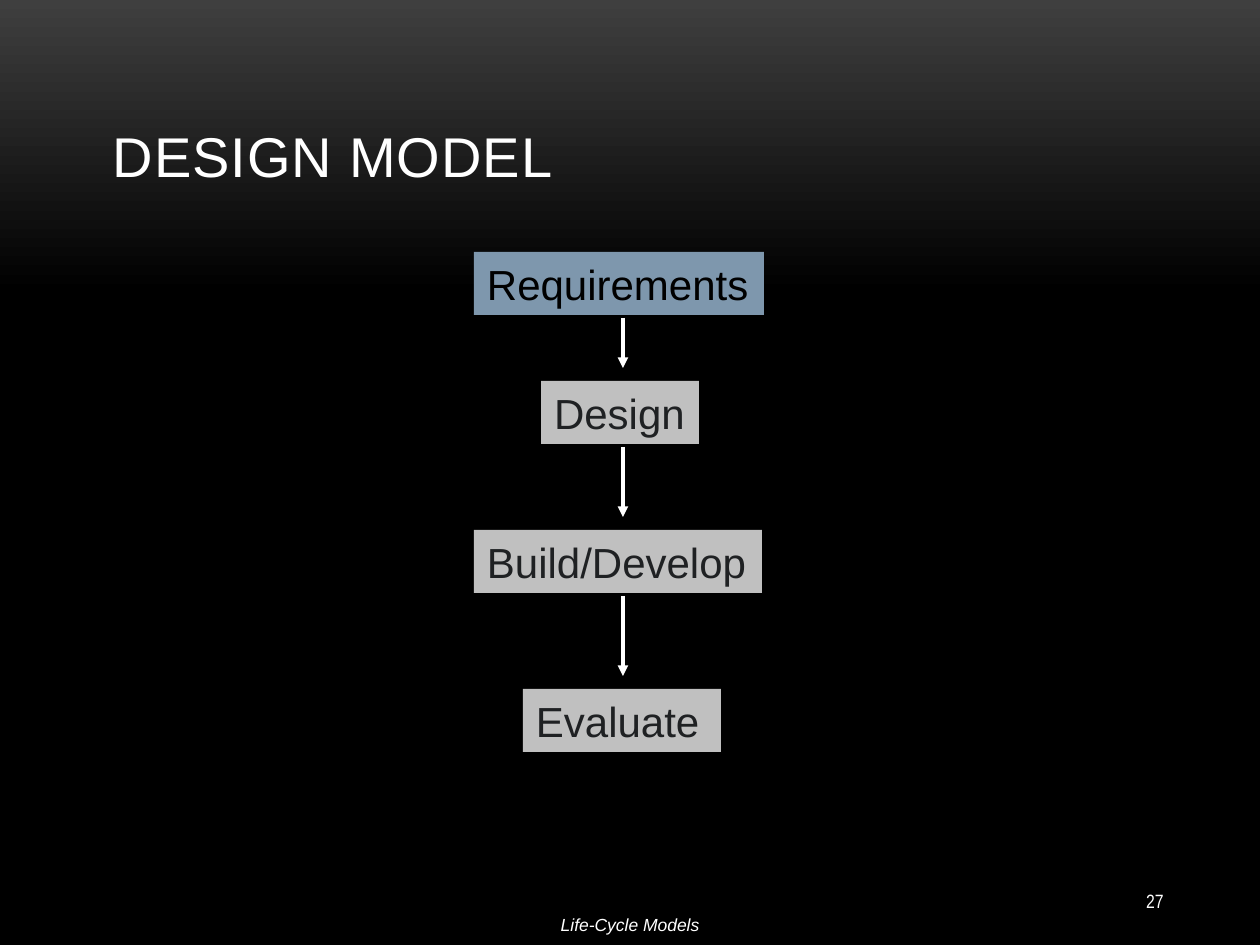
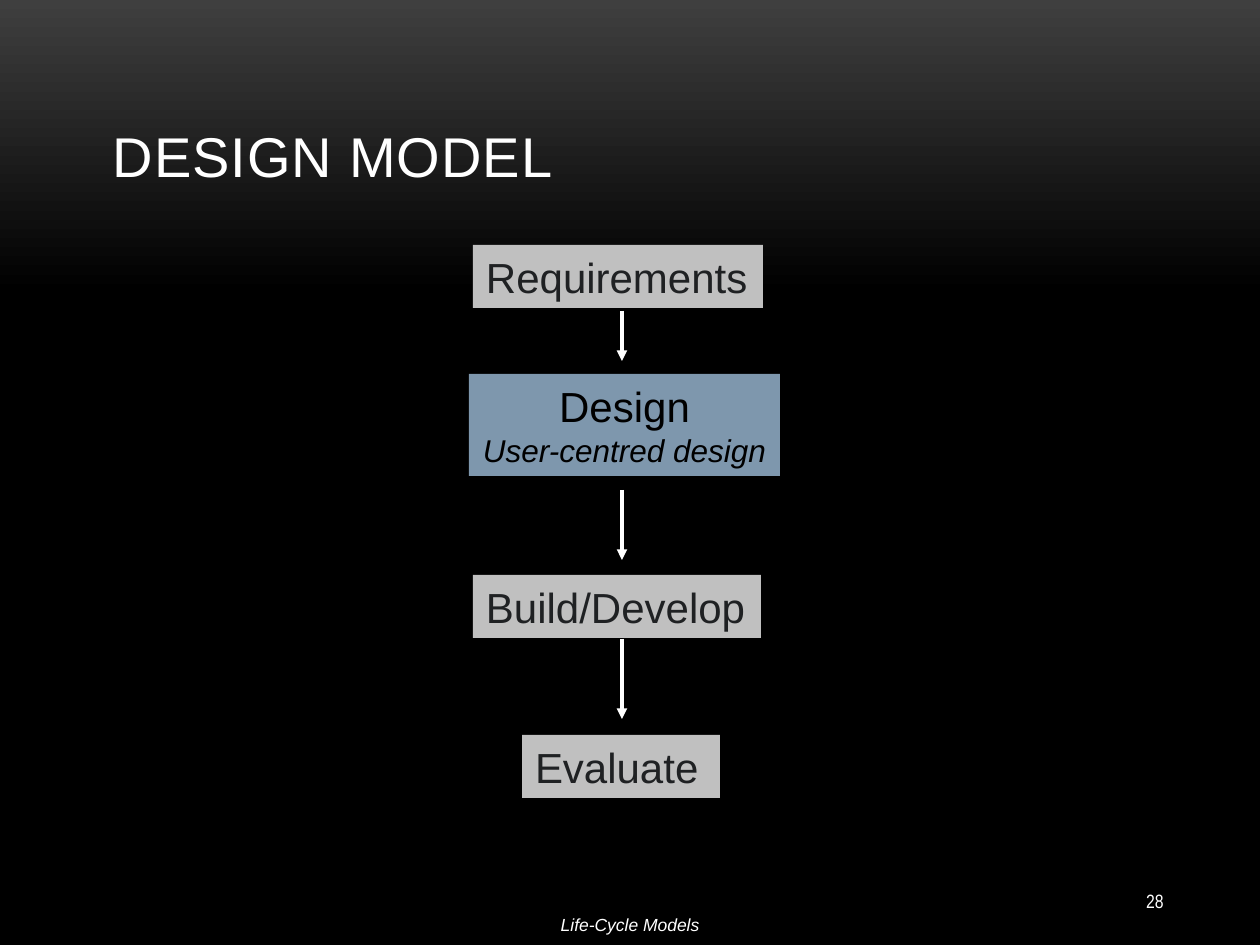
from lxml.etree import SubElement as sub
from pptx import Presentation
from pptx.dml.color import RGBColor as Rgb
from pptx.enum.shapes import MSO_CONNECTOR as Line, MSO_SHAPE as Shape
from pptx.enum.text import MSO_ANCHOR as Anchor, MSO_AUTO_SIZE as Auto, PP_ALIGN as Align
from pptx.oxml.ns import qn
from pptx.util import Emu, Pt

SCALE = 914400 / 126
COLORS = {
    "top": "3F3F3F", "base": "000000", "light": "FFFFFF",
    "focus": "7E97AD", "plain": "C0C0C0", "ink": "000000", "dim": "1F2123",
}
STEPS = [("Requirements", 474, 290), ("Design", 541, 158),
         ("Build/Develop", 474, 288), ("Evaluate", 523, 198)]
GAPS = [50, 70, 80]
STEP_H = 63


def px(*sizes):
    return [Emu(round(size * SCALE)) for size in sizes]


def color(name):
    return Rgb.from_string(COLORS[name])


def style(para, size, tint, face="Arial", italic=False, align=Align.LEFT):
    para.alignment = align
    for run in para.runs:
        font = run.font
        font.name, font.size, font.italic = face, Pt(size), italic
        font.color.rgb = color(tint)


def paint_back(master):
    fill = master.background.fill
    fill.gradient()
    fill.gradient_angle = 270
    for stop, place, tint in zip(fill.gradient_stops, (0, 0.31), ("top", "base")):
        stop.position = place
        stop.color.rgb = color(tint)


def add_title(slide, text):
    title = slide.shapes.title
    title.left, title.top, title.width, title.height = px(84, 38, 1092, 157)
    frame = title.text_frame
    frame.text = text
    frame.auto_size = Auto.NONE
    frame.vertical_anchor = Anchor.BOTTOM
    para = frame.paragraphs[0]
    style(para, 32, "light")
    para.runs[0].font._element.set("spc", "50")


def add_note(slide, text, area, anchor, size, **looks):
    frame = slide.shapes.add_textbox(*px(*area)).text_frame
    frame.word_wrap = True
    frame.vertical_anchor = anchor
    frame.text = text
    style(frame.paragraphs[0], size, "light", **looks)


def add_step(slide, text, area, focus, detail=None):
    box = slide.shapes.add_shape(Shape.RECTANGLE, *px(*area))
    box.shadow.inherit = False
    box.fill.solid()
    box.fill.fore_color.rgb = color("focus" if focus else "plain")
    box.line.fill.background()
    tint = "ink" if focus else "dim"
    align = Align.CENTER if detail else Align.LEFT
    frame = box.text_frame
    frame.word_wrap = True
    frame.vertical_anchor = Anchor.TOP
    frame.margin_left, frame.margin_right = px(0 if detail else 13, 0)
    frame.text = text
    style(frame.paragraphs[0], 24, tint, align=align)
    if detail:
        para = frame.add_paragraph()
        para.text = detail
        style(para, 18, tint, italic=True, align=align)


def add_arrow(slide, x, top, length):
    arrow = slide.shapes.add_connector(Line.STRAIGHT, *px(x, top, x, top + length))
    arrow.line.color.rgb = color("light")
    arrow.line.width = Pt(2)
    sub(arrow.line._get_or_add_ln(), qn("a:tailEnd"), type="triangle")
    sub(arrow._element.spPr, qn("a:effectLst"))


def add_model(deck, number, focus, tops, starts, shift=0, detail=None):
    slide = deck.slides.add_slide(deck.slide_layouts[5])
    add_title(slide, " DESIGN MODEL")
    add_note(slide, str(number), (1040, 876, 136, 50), Anchor.MIDDLE, 11,
             face="Arial Narrow", align=Align.RIGHT)
    add_note(slide, "Life-Cycle Models", (0, 908, 1260, 34), Anchor.TOP, 10,
             italic=True, align=Align.CENTER)
    for (text, left, width), top in zip(STEPS, tops):
        active = text == focus
        if active and detail:
            add_step(slide, text, (469, top, 311, 102), active, detail)
        else:
            add_step(slide, text, (left - shift, top, width, STEP_H), active)
    for start, gap in zip(starts, GAPS):
        add_arrow(slide, 623 - shift, start, gap)


def main():
    deck = Presentation()
    deck.slide_width, deck.slide_height = px(1260, 945)
    paint_back(deck.slide_master)
    add_model(deck, 27, "Requirements", (252, 381, 530, 689), (318, 447, 596))
    add_model(deck, 28, "Design", (245, 374, 575, 735), (311, 490, 639),
              shift=1, detail="User-centred design")
    deck.save("out.pptx")


if __name__ == "__main__":
    main()
